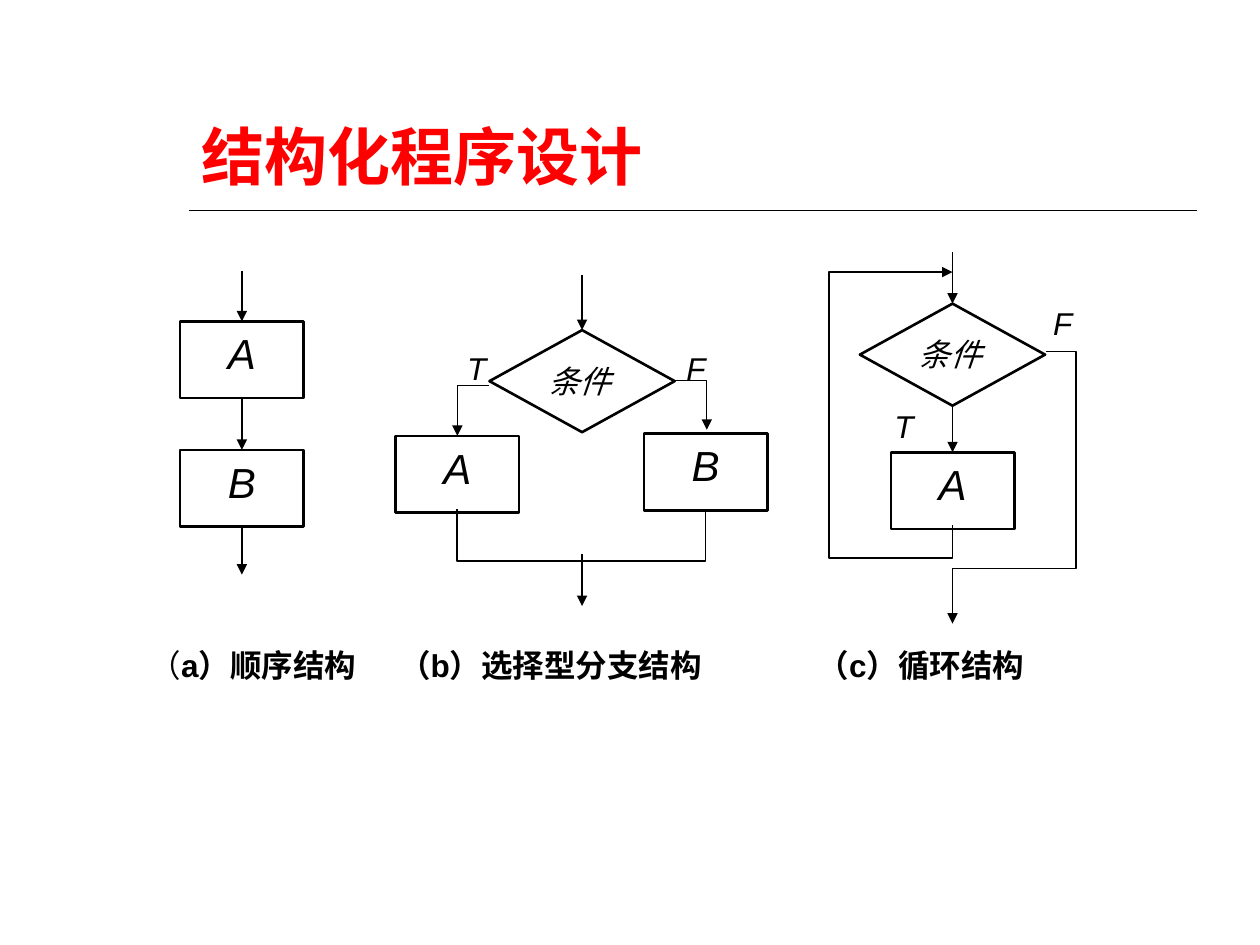
import pptx
import pptx.dml.color
import pptx.enum.shapes
import pptx.enum.text
import pptx.oxml
import pptx.oxml.ns
import pptx.util

Inches = pptx.util.Inches
SHAPES = pptx.enum.shapes.MSO_SHAPE
ALIGN = pptx.enum.text.PP_ALIGN
ANCHOR = pptx.enum.text.MSO_ANCHOR
BLACK = pptx.dml.color.RGBColor(0, 0, 0)

THEME = {
    "ink": BLACK,
    "thin": 0.75, "medium": 1, "thick": 1.5,
    "title": {"size": 36, "name": "Arial", "bold": True,
              "color": pptx.dml.color.RGBColor(255, 0, 0)},
    "step": {"size": 24, "name": "Arial", "italic": True, "color": BLACK},
    "condition": {"size": 18, "name": "Times New Roman", "italic": True, "color": BLACK},
    "branch": {"size": 18, "name": "Arial", "italic": True, "color": BLACK},
    "caption": {"size": 18, "name": "Arial", "bold": True, "color": BLACK},
    "caption_plain": {"size": 18, "name": "Arial", "color": BLACK},
}

TITLE = "结构化程序设计"
TITLE_BOX = (1.5, 0.33, 8, 1.25)
TITLE_RULE = ((1.5, 1.67), (9.5, 1.67))
STEP_SIZE = (0.98, 0.61)
CONDITION_SIZE = (1.47, 0.81)
LABEL_SIZE = (0.63, 0.61)

# name: (text, kind, centre x, top)
NODES = {
    "sequence A": ("A", "step", 1.92, 2.55),
    "sequence B": ("B", "step", 1.92, 3.57),
    "branch test": ("条件", "condition", 4.62, 2.62),
    "branch A": ("A", "step", 3.63, 3.46),
    "branch B": ("B", "step", 5.6, 3.44),
    "loop test": ("条件", "condition", 7.56, 2.41),
    "loop A": ("A", "step", 7.56, 3.59),
}
# an end is a node name or a free point
ARROWS = [
    ((1.92, 2.15), "sequence A"),
    ("sequence A", "sequence B"),
    ("sequence B", (1.92, 4.56)),
    ((4.62, 2.18), "branch test"),
    ((4.62, 4.4), (4.62, 4.81)),
    ((7.56, 2), "loop test"),
    ("loop test", "loop A"),
]
# points, line weight, has arrowhead
ROUTES = [
    ([(3.88, 3.06), (3.63, 3.06), (3.63, 3.46)], "thin", True),
    ([(5.33, 3.02), (5.61, 3.02), (5.61, 3.41)], "thin", True),
    ([(3.63, 4.04), (3.63, 4.45), (5.6, 4.45), (5.6, 4.04)], "medium", False),
    ([(7.56, 4.17), (7.56, 4.43), (6.58, 4.43), (6.58, 2.16), (7.56, 2.16)], "thin", True),
    ([(8.3, 2.79), (8.54, 2.79), (8.54, 4.51), (7.56, 4.51), (7.56, 4.95)], "thin", True),
]
BRANCH_LABELS = [("T", 3.61, 2.72), ("F", 5.35, 2.72), ("T", 7, 3.18), ("F", 8.26, 2.36)]
CAPTION_TOP, CAPTION_HEIGHT = 5.08, 0.4
# left, width, runs
CAPTIONS = [
    (1.09, 2.1, [("（", "caption_plain"), ("a）顺序结构", "caption")]),
    (3.07, 3, [("（b）选择型分支结构", "caption")]),
    (6.39, 2.43, [("（c）循环结构", "caption")]),
]


def write_text(shape, runs, anchor=ANCHOR.TOP, alignment=ALIGN.LEFT):
    frame = shape.text_frame
    frame.word_wrap = True
    frame.vertical_anchor = anchor
    paragraph = frame.paragraphs[0]
    paragraph.alignment = alignment
    for text, style in runs:
        run = paragraph.add_run()
        run.text = text
        for name, value in THEME[style].items():
            if name == "color":
                run.font.color.rgb = value
            else:
                setattr(run.font, name, pptx.util.Pt(value) if name == "size" else value)


def add_text(slide, box, runs, anchor=ANCHOR.TOP):
    text_box = slide.shapes.add_textbox(*map(Inches, box))
    write_text(text_box, runs, anchor)


def style_line(shape, weight, arrowhead=False):
    shape.line.color.rgb = THEME["ink"]
    shape.line.width = pptx.util.Pt(THEME[weight])
    if arrowhead:
        tail = pptx.oxml.parse_xml(
            f'<a:tailEnd {pptx.oxml.ns.nsdecls("a")} type="triangle"/>')
        shape.line._get_or_add_ln().append(tail)


def add_node(slide, text, kind, center, top):
    is_step = kind == "step"
    width, height = STEP_SIZE if is_step else CONDITION_SIZE
    preset = SHAPES.RECTANGLE if is_step else SHAPES.FLOWCHART_DECISION
    shape = slide.shapes.add_shape(
        preset, *map(Inches, (center - width / 2, top, width, height)))
    shape.shadow.inherit = False
    shape.fill.background()
    style_line(shape, "thick")
    write_text(shape, [(text, kind)], alignment=ALIGN.CENTER if is_step else ALIGN.LEFT)
    return shape


def add_line(slide, start, end, weight, arrowhead=False, nodes=None):
    """Draw a line; an end given as a node name is joined to that node."""
    start_point = (0, 0) if isinstance(start, str) else start
    end_point = (0, 0) if isinstance(end, str) else end
    connector = slide.shapes.add_connector(
        pptx.enum.shapes.MSO_CONNECTOR.STRAIGHT, *map(Inches, (*start_point, *end_point)))
    if isinstance(start, str):
        connector.begin_connect(nodes[start], 2)
    if isinstance(end, str):
        connector.end_connect(nodes[end], 0)
    style_line(connector, weight, arrowhead)
    connector._element.spPr.append(
        pptx.oxml.parse_xml(f'<a:effectLst {pptx.oxml.ns.nsdecls("a")}/>'))


def add_route(slide, points, weight, arrowhead):
    corners = [(Inches(x), Inches(y)) for x, y in points]
    builder = slide.shapes.build_freeform(*corners[0])
    builder.add_line_segments(corners[1:], close=False)
    route = builder.convert_to_shape()
    route.shadow.inherit = False
    route.fill.background()
    style_line(route, weight, arrowhead)


def main():
    presentation = pptx.Presentation()
    presentation.slide_width, presentation.slide_height = Inches(10), Inches(7.5)
    slide = presentation.slides.add_slide(presentation.slide_layouts[6])

    add_line(slide, *TITLE_RULE, "medium")
    add_text(slide, TITLE_BOX, [(TITLE, "title")], ANCHOR.BOTTOM)
    for text, left, top in BRANCH_LABELS:
        add_text(slide, (left, top, *LABEL_SIZE), [(text, "branch")])
    nodes = {name: add_node(slide, *node) for name, node in NODES.items()}
    for start, end in ARROWS:
        add_line(slide, start, end, "thin", True, nodes)
    for route in ROUTES:
        add_route(slide, *route)
    for left, width, runs in CAPTIONS:
        add_text(slide, (left, CAPTION_TOP, width, CAPTION_HEIGHT), runs)

    presentation.save("out.pptx")


if __name__ == "__main__":
    main()
